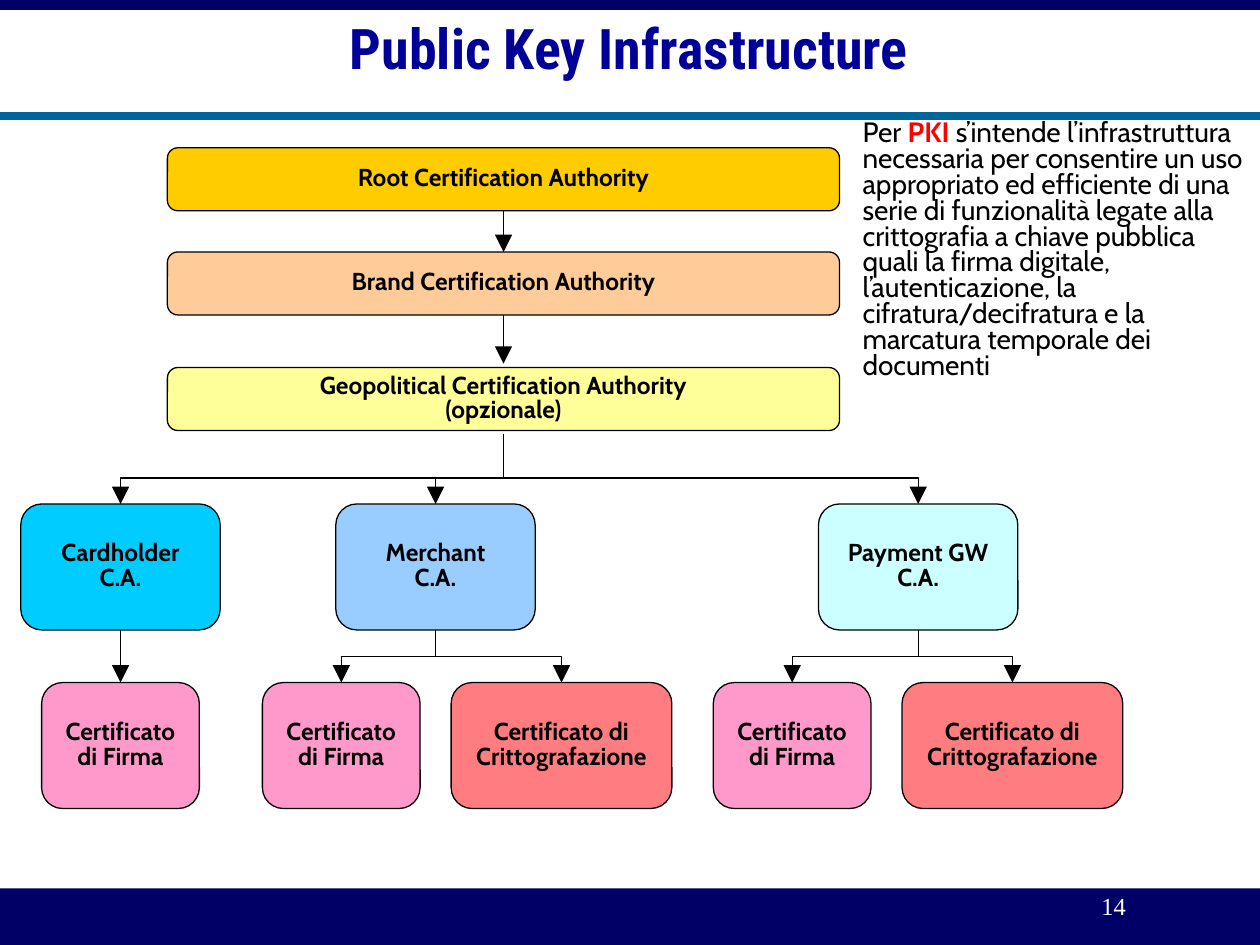
from lxml import etree
from pptx import Presentation
from pptx.dml.color import RGBColor
from pptx.enum.shapes import MSO_CONNECTOR, MSO_SHAPE
from pptx.enum.text import MSO_ANCHOR, PP_ALIGN
from pptx.oxml.ns import qn
from pptx.util import Cm, Pt

RECT, ROUNDED = MSO_SHAPE.RECTANGLE, MSO_SHAPE.ROUNDED_RECTANGLE
STRAIGHT, ELBOW = MSO_CONNECTOR.STRAIGHT, MSO_CONNECTOR.ELBOW
TOP, MIDDLE = MSO_ANCHOR.TOP, MSO_ANCHOR.MIDDLE
LEFT, CENTER = PP_ALIGN.LEFT, PP_ALIGN.CENTER

BLACK = RGBColor(0x00, 0x00, 0x00)
WHITE = RGBColor(0xFF, 0xFF, 0xFF)
RED = RGBColor(0xFF, 0x00, 0x00)
NAVY = RGBColor(0x00, 0x00, 0x66)
TITLE_BLUE = RGBColor(0x00, 0x00, 0x99)
TEAL = RGBColor(0x00, 0x66, 0x99)
GOLD = RGBColor(0xFF, 0xCC, 0x00)
PEACH = RGBColor(0xFF, 0xCC, 0x99)
YELLOW = RGBColor(0xFF, 0xFF, 0x99)
CYAN = RGBColor(0x00, 0xCC, 0xFF)
SKY = RGBColor(0x99, 0xCC, 0xFF)
ICE = RGBColor(0xCC, 0xFF, 0xFF)
PINK = RGBColor(0xFF, 0x99, 0xCC)
CORAL = RGBColor(0xFF, 0x7C, 0x80)

# Content: lines of text, fill, and top or centre in cm
TITLE = "Public Key Infrastructure"
PAGE = "14"
DEFINITION = [
    ("Per ", {}),
    ("PKI", {"color": RED, "bold": True}),
    (" s’intende l’infrastruttura necessaria per consentire un uso "
     "appropriato ed efficiente di una serie di funzionalità legate alla "
     "crittografia a chiave pubblica quali la firma digitale, "
     "l’autenticazione, la cifratura/decifratura e la marcatura temporale "
     "dei documenti", {}),
]
CHAIN = [
    (["Root Certification Authority"], GOLD, 2.98),
    (["Brand Certification Authority"], PEACH, 5.08),
    (["Geopolitical Certification Authority", "(opzionale)"], YELLOW, 7.41),
]
SIGNATURE = (["Certificato", "di Firma"], PINK, 3.18)
ENCRYPTION = (["Certificato di", "Crittografazione"], CORAL, 4.45)
BRANCHES = [
    (["Cardholder", "C.A."], CYAN, 2.43, [(SIGNATURE, 2.43)]),
    (["Merchant", "C.A."], SKY, 8.78, [(SIGNATURE, 6.88), (ENCRYPTION, 11.32)]),
    (["Payment GW", "C.A."], ICE, 18.51, [(SIGNATURE, 15.97), (ENCRYPTION, 20.41)]),
]

# Layout in cm
SLIDE_W, SLIDE_H = 25.4, 19.05
CHAIN_X, CHAIN_W, CHAIN_H = 10.15, 13.55, 1.27
CHAIN_LINK_ENDS = [5.08, 7.33]
CA_TOP, CA_W, BOX_H = 10.16, 4.02, 2.54
CERT_TOP = 13.76
TRUNK_TOP = 8.74


def write(tf, paragraphs, size=14, font="Cabin", color=BLACK, bold=False,
          align=CENTER, anchor=MIDDLE, spacing=0.86, wrap=True, inset=(0.25, 0.13)):
    """Fill a frame; a paragraph is a string or a list of (text, overrides)."""
    tf.word_wrap = wrap
    tf.vertical_anchor = anchor
    tf.margin_left = tf.margin_right = Cm(inset[0])
    tf.margin_top = tf.margin_bottom = Cm(inset[1])
    for i, runs in enumerate(paragraphs):
        p = tf.paragraphs[0] if i == 0 else tf.add_paragraph()
        p.alignment, p.line_spacing = align, spacing
        for text, style in [(runs, {})] if isinstance(runs, str) else runs:
            r = p.add_run()
            r.text = text
            r.font.name, r.font.size = font, Pt(size)
            r.font.bold = style.get("bold", bold)
            r.font.color.rgb = style.get("color", color)


def add_box(s, kind, x, y, w, h, fill, line=None):
    sp = s.shapes.add_shape(kind, Cm(x), Cm(y), Cm(w), Cm(h))
    sp.shadow.inherit = False
    sp.fill.solid()
    sp.fill.fore_color.rgb = fill
    if line is None:
        sp.line.fill.background()
    else:
        sp.line.color.rgb, sp.line.width = line, Pt(0.75)
    return sp


def add_node(s, lines, fill, center, y, w, h):
    sp = add_box(s, ROUNDED, center - w / 2, y, w, h, fill, BLACK)
    write(sp.text_frame, lines, bold=True, spacing=0.84, wrap=False, inset=(0, 0))


def add_line(s, kind, x1, y1, x2, y2, color=BLACK, width=0.75):
    cn = s.shapes.add_connector(kind, Cm(x1), Cm(y1), Cm(x2), Cm(y2))
    cn.line.color.rgb, cn.line.width = color, Pt(width)
    etree.SubElement(cn._element.spPr, qn("a:effectLst"))
    return cn


def add_arrow(s, x1, y1, x2, y2, bend=0.5):
    """Arrow running down; it bends at a share of its height if x changes."""
    dx, dy = x2 - x1, y2 - y1
    cn = add_line(s, ELBOW if dx else STRAIGHT, x1, y1, x2, y2)
    ln = cn.line._get_or_add_ln()
    etree.SubElement(ln, qn("a:tailEnd"), type="triangle", w="lg", len="lg")
    if dx:
        # Turn the elbow on its side so that it leaves and arrives vertically
        cn.left, cn.top = Cm((x1 + x2 - dy) / 2), Cm((y1 + y2 - abs(dx)) / 2)
        cn.width, cn.height = Cm(dy), Cm(abs(dx))
        spPr = cn._element.spPr
        xfrm = spPr.find(qn("a:xfrm"))
        xfrm.attrib.pop("flipH", None)
        xfrm.set("rot", str((90 if dx < 0 else 270) * 60000))
        if dx > 0:
            xfrm.set("flipH", "1")
        guides = spPr.find(qn("a:prstGeom")).find(qn("a:avLst"))
        etree.SubElement(guides, qn("a:gd"), name="adj1",
                         fmla=f"val {round(bend * 100000)}")


def add_text(s, x, y, w, h, paragraphs, **style):
    sp = s.shapes.add_textbox(Cm(x), Cm(y), Cm(w), Cm(h))
    write(sp.text_frame, paragraphs, **style)


def main():
    prs = Presentation()
    prs.slide_width, prs.slide_height = Cm(SLIDE_W), Cm(SLIDE_H)
    s = prs.slides.add_slide(prs.slide_layouts[5])

    # Bands, rule and page number
    add_box(s, RECT, 0, 17.91, SLIDE_W, 1.14, NAVY)
    add_box(s, RECT, 0, 0, SLIDE_W, 0.2, NAVY)
    add_line(s, STRAIGHT, 0, 2.33, SLIDE_W, 2.33, TEAL, 4.5)
    add_text(s, 19.81, 17.91, 5.28, 0.84, [PAGE], font="Times New Roman",
             color=WHITE, anchor=TOP)

    # Title
    title = s.shapes.title
    title.left, title.top, title.width, title.height = Cm(1.04), Cm(0), Cm(23.29), Cm(2.11)
    write(title.text_frame, [TITLE], size=32, font="Roboto Condensed",
          color=TITLE_BLUE, bold=True, inset=(0, 0))

    # Chain of authorities
    for lines, fill, y in CHAIN:
        add_node(s, lines, fill, CHAIN_X, y, CHAIN_W, CHAIN_H)
    for (_, _, y), end in zip(CHAIN, CHAIN_LINK_ENDS):
        add_arrow(s, CHAIN_X, y + CHAIN_H, CHAIN_X, end)

    # Branches with their certificates
    for lines, fill, x, certs in BRANCHES:
        add_node(s, lines, fill, x, CA_TOP, CA_W, BOX_H)
        add_arrow(s, CHAIN_X, TRUNK_TOP, x, CA_TOP, bend=0.63)
        for (cert, cert_fill, w), cert_x in certs:
            add_node(s, cert, cert_fill, cert_x, CERT_TOP, w, BOX_H)
            add_arrow(s, x, CA_TOP + BOX_H, cert_x, CERT_TOP)

    # Definition
    add_text(s, 17.14, 2.33, 8.26, 7.01, [DEFINITION], size=16, align=LEFT,
             anchor=TOP, spacing=0.77)

    prs.save("out.pptx")


if __name__ == "__main__":
    main()
